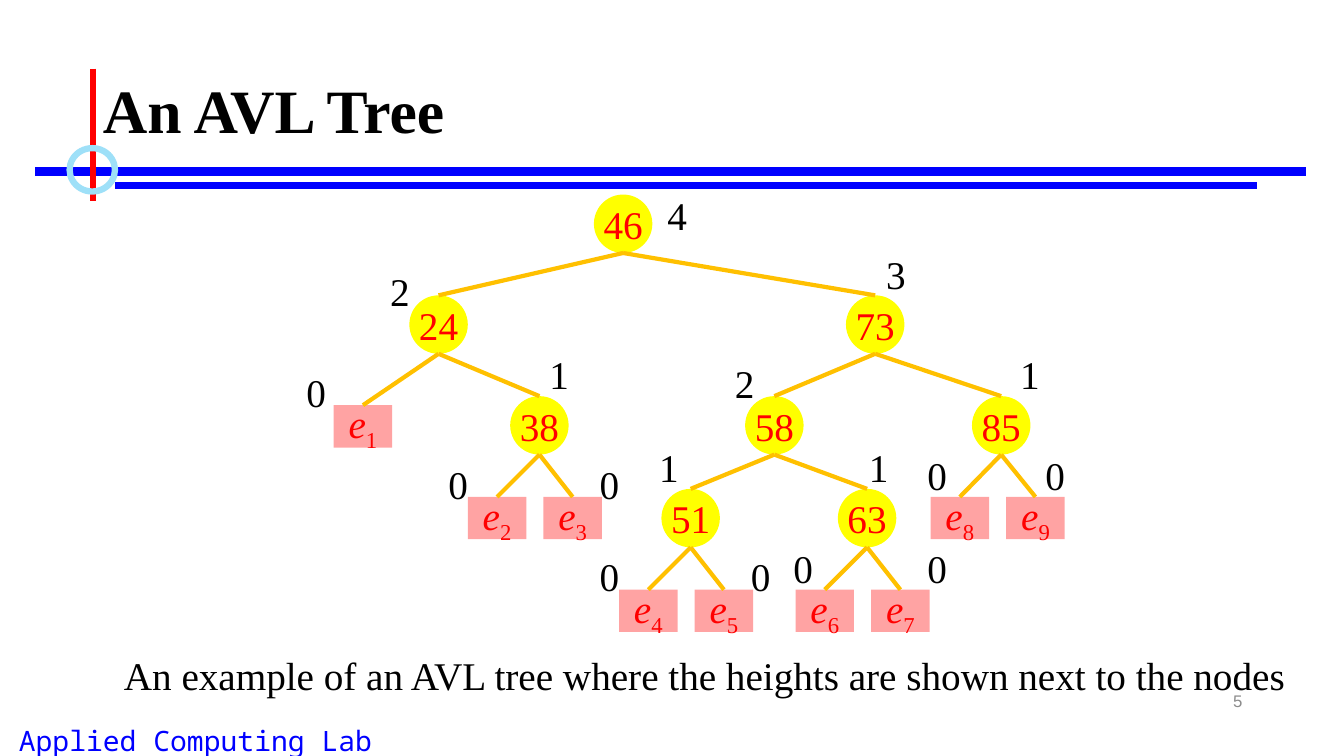
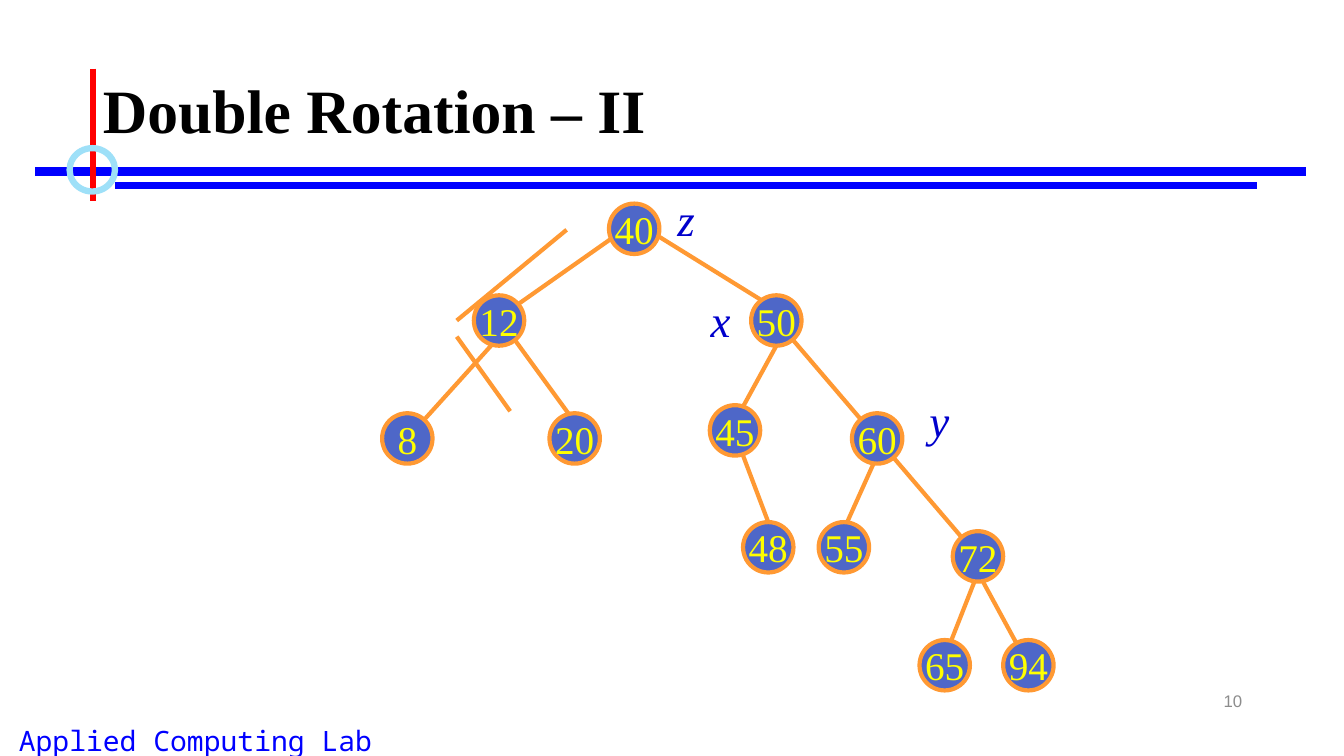
from lxml.etree import SubElement
from pptx import Presentation
from pptx.dml.color import RGBColor
from pptx.enum.shapes import MSO_CONNECTOR, MSO_SHAPE
from pptx.enum.text import MSO_ANCHOR, PP_ALIGN
from pptx.oxml.ns import qn
from pptx.util import Inches, Pt

STRAIGHT = MSO_CONNECTOR.STRAIGHT
OVAL, RECTANGLE = MSO_SHAPE.OVAL, MSO_SHAPE.RECTANGLE
LEFT, CENTER, RIGHT = PP_ALIGN.LEFT, PP_ALIGN.CENTER, PP_ALIGN.RIGHT
TOP, MIDDLE = MSO_ANCHOR.TOP, MSO_ANCHOR.MIDDLE

SERIF, MONO, SANS = "Times New Roman", "Noto Sans Mono", "Arial"
COLORS = {
    "black": "000000", "blue": "0000FF", "red": "FF0000", "ring": "9EE0F8",
    "gray": "8C8C8C", "yellow": "FFFF00", "pink": "FFA3A3", "gold": "FFC000",
    "orange": "FF9933", "indigo": "4E67C8", "navy": "0000CC",
}

# Shared decoration: start, end, colour, width
FRAME_LINES = [
    ((0.35, 1.7), (12.95, 1.7), "blue", 6),
    ((1.14, 1.84), (12.47, 1.84), "blue", 4.5),
    ((0.92, 0.68), (0.92, 1.99), "red", 4.5),
]
FOOTER = "Applied Computing Lab"

# AVL tree: name, parent, left, top, height label, label left, label top
AVL_TITLE, AVL_NUMBER = "An AVL Tree", "5"
AVL_CAPTION = "An example of an AVL tree where the heights are shown next to the nodes"
AVL_NODES = [
    ("46", None, 5.89, 1.93, "4", 6.52, 1.85),
    ("24", "46", 4.06, 2.93, "2", 3.77, 2.6),
    ("73", "46", 8.39, 2.93, "3", 8.69, 2.43),
    ("38", "24", 5.06, 3.93, "1", 5.35, 3.43),
    ("58", "73", 7.39, 3.93, "2", 7.19, 3.52),
    ("85", "73", 9.64, 3.93, "1", 10.02, 3.43),
    ("51", "58", 6.56, 4.85, "1", 6.44, 4.35),
    ("63", "58", 8.31, 4.85, "1", 8.52, 4.35),
    ("e1", "24", 3.31, 4.02, "0", 2.94, 3.6),
    ("e2", "38", 4.64, 4.93, "0", 4.35, 4.52),
    ("e3", "38", 5.39, 4.93, "0", 5.85, 4.52),
    ("e4", "51", 6.14, 5.85, "0", 5.85, 5.43),
    ("e5", "51", 6.89, 5.85, "0", 7.35, 5.43),
    ("e6", "63", 7.89, 5.85, "0", 7.77, 5.35),
    ("e7", "63", 8.64, 5.85, "0", 9.1, 5.35),
    ("e8", "85", 9.23, 4.93, "0", 9.1, 4.43),
    ("e9", "85", 9.98, 4.93, "0", 10.27, 4.43),
]
NODE_SIZE, LEAF_HEIGHT = 0.58, 0.42

# Rotation tree: nodes, edges and letters
ROTATION_TITLE, ROTATION_NUMBER = "Double Rotation – II", "10"
ROTATION_NODES = [
    ("40", 6.04, 2.02), ("12", 4.7, 2.93), ("50", 7.45, 2.93),
    ("8", 3.79, 4.1), ("20", 5.45, 4.1), ("45", 7.04, 4.02),
    ("60", 8.45, 4.1), ("48", 7.37, 5.18), ("55", 8.12, 5.18),
    ("72", 9.45, 5.27), ("65", 9.12, 6.35), ("94", 9.95, 6.35),
]
ROTATION_EDGES = [
    ((4.53, 3.18), (5.62, 2.28)), ((4.53, 3.34), (5.06, 4.08)),
    ((6.06, 2.37), (5.15, 3.01)), ((6.54, 2.35), (7.62, 3.02)),
    ((4.87, 3.43), (4.04, 4.35)), ((5.09, 3.35), (5.76, 4.27)),
    ((7.7, 3.43), (7.29, 4.18)), ((7.7, 3.18), (8.7, 4.35)),
    ((7.37, 4.52), (7.62, 5.18)), ((8.7, 4.52), (8.29, 5.43)),
    ((8.7, 4.35), (9.7, 5.52)), ((9.7, 5.68), (9.37, 6.52)),
    ((9.7, 5.68), (10.2, 6.6)),
]
ROTATION_LETTERS = [("z", 6.62, 1.85), ("x", 6.95, 2.85), ("y", 9.12, 3.85)]
ROTATION_SIZE = 0.5


def rgb(name):
    return RGBColor.from_string(COLORS[name])


def style(font, color, size, name=SERIF, bold=False, italic=False):
    font.name, font.size = name, Pt(size)
    font.bold, font.italic = bold, italic
    font.color.rgb = rgb(color)


def add_text(page, text, left, top, width, height, color="black", size=28, name=SERIF,
             italic=False, align=LEFT, anchor=TOP, wrap=True):
    box = page.shapes.add_textbox(Inches(left), Inches(top), Inches(width), Inches(height))
    frame = box.text_frame
    frame.word_wrap, frame.vertical_anchor = wrap, anchor
    frame.text = text
    para = frame.paragraphs[0]
    para.alignment = align
    style(para.runs[0].font, color, size, name, italic=italic)
    return box


def add_line(page, start, end, color, width=3):
    points = [Inches(value) for value in (*start, *end)]
    line = page.shapes.add_connector(STRAIGHT, *points)
    line.line.color.rgb = rgb(color)
    line.line.width = Pt(width)
    SubElement(line._element.spPr, qn("a:effectLst"))
    return line


def add_node(page, kind, left, top, width, height, fill=None, outline=None, outline_width=3):
    node = page.shapes.add_shape(kind, Inches(left), Inches(top), Inches(width), Inches(height))
    node.shadow.inherit = False
    if fill:
        node.fill.solid()
        node.fill.fore_color.rgb = rgb(fill)
    else:
        node.fill.background()
    if outline:
        node.line.color.rgb = rgb(outline)
        node.line.width = Pt(outline_width)
    else:
        node.line.fill.background()
    return node


def label_node(node, text, color):
    """Write a number, or an italic letter followed by its subscript."""
    frame = node.text_frame
    frame.word_wrap, frame.vertical_anchor = False, MIDDLE
    para = frame.paragraphs[0]
    para.alignment = CENTER
    is_leaf = text.startswith("e")
    for part in text if is_leaf else [text]:
        span = para.add_run()
        span.text = part
        style(span.font, color, 28, italic=part == "e")
        if is_leaf and part != "e":
            span._r.get_or_add_rPr().set("baseline", "-25000")


def decorate_layout(layout, page):
    """Draw the shared frame once and move it to the layout."""
    parts = [add_line(page, *line) for line in FRAME_LINES]
    parts.append(add_node(page, OVAL, 0.69, 1.47, 0.45, 0.43, None, "ring", 4.5))
    parts.append(add_text(page, FOOTER, 0, 7.13, 3.88, 0.37, "blue", 20, MONO, align=CENTER))
    for number, part in enumerate(parts, start=20):
        part._element.xpath(".//p:cNvPr")[0].set("id", str(number))
        layout.shapes._spTree.append(part._element)
    title = layout.placeholders[0]
    title.left, title.top = Inches(0.92), Inches(0.4)
    title.width, title.height = Inches(11.5), Inches(1.45)


def add_page(deck, layout, heading, number):
    page = deck.slides.add_slide(layout)
    frame = page.shapes.title.text_frame
    frame.text = heading
    frame.vertical_anchor = MIDDLE
    para = frame.paragraphs[0]
    para.alignment, para.line_spacing = LEFT, 0.9
    style(para.runs[0].font, "black", 44, bold=True)
    add_text(page, number, 9.42, 6.75, 3, 0.4, "gray", 12, SANS, align=RIGHT, anchor=MIDDLE)
    return page


def draw_avl_tree(page):
    nodes = {}
    for name, parent, left, top, *_ in AVL_NODES:
        if name.startswith("e"):
            node = add_node(page, RECTANGLE, left, top, NODE_SIZE, LEAF_HEIGHT, "pink")
        else:
            node = add_node(page, OVAL, left, top, NODE_SIZE, NODE_SIZE, "yellow")
        label_node(node, name, "red")
        nodes[name] = node
        if parent:
            above = nodes[parent]
            bottom = ((above.left + above.width / 2) / Inches(1),
                      (above.top + above.height) / Inches(1))
            edge = add_line(page, bottom, (left + NODE_SIZE / 2, top), "gold")
            edge.end_connect(node, 0)
    for *_, height, left, top in AVL_NODES:
        add_text(page, height, left, top, 0.4, 0.57, wrap=False)
    add_text(page, AVL_CAPTION, 1.13, 6.41, 11.79, 0.57)


def draw_rotation_tree(page):
    for start, end in ROTATION_EDGES:
        add_line(page, start, end, "orange")
    for name, left, top in ROTATION_NODES:
        node = add_node(page, OVAL, left, top, ROTATION_SIZE, ROTATION_SIZE, "indigo", "orange")
        label_node(node, name, "yellow")
    for letter, left, top in ROTATION_LETTERS:
        add_text(page, letter, left, top, 0.4, 0.63, "navy", 32, italic=True, wrap=False)


def main():
    deck = Presentation()
    deck.slide_width, deck.slide_height = Inches(13.33), Inches(7.5)
    layout = deck.slide_layouts.get_by_name("Title Only")
    avl_page = add_page(deck, layout, AVL_TITLE, AVL_NUMBER)
    decorate_layout(layout, avl_page)
    draw_avl_tree(avl_page)
    draw_rotation_tree(add_page(deck, layout, ROTATION_TITLE, ROTATION_NUMBER))
    deck.save("out.pptx")


if __name__ == "__main__":
    main()
